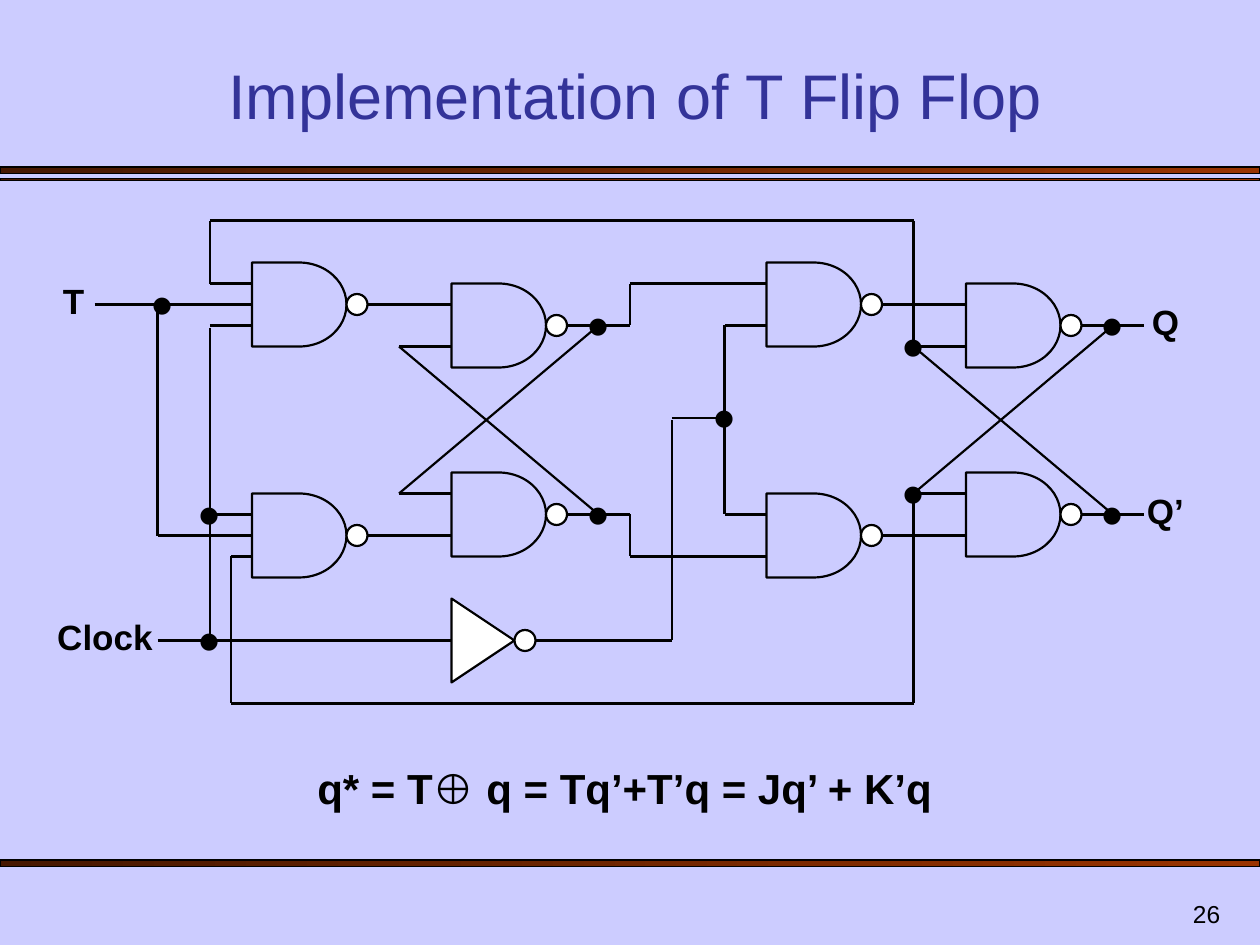
from dataclasses import dataclass
from itertools import pairwise

from lxml import etree
from pptx import Presentation
from pptx.dml.color import RGBColor
from pptx.enum.shapes import MSO_CONNECTOR, MSO_SHAPE
from pptx.enum.text import MSO_ANCHOR, MSO_AUTO_SIZE, PP_ALIGN
from pptx.oxml.ns import qn
from pptx.util import Pt

EMU_PER_PX = 7620
SLIDE_WIDTH, SLIDE_HEIGHT = 1200, 900
STAGE_OFFSETS = (0, 490)
GATE_WIDTH, GATE_HEIGHT, BUBBLE = 90, 80, 20
LEFT_SIDE = 1
STRAIGHT = MSO_CONNECTOR.STRAIGHT
DELAY, OVAL, RECTANGLE = MSO_SHAPE.FLOWCHART_DELAY, MSO_SHAPE.OVAL, MSO_SHAPE.RECTANGLE
CENTER, RIGHT = PP_ALIGN.CENTER, PP_ALIGN.RIGHT
TOP, BOTTOM = MSO_ANCHOR.TOP, MSO_ANCHOR.BOTTOM
FIT_SHAPE, NO_FIT = MSO_AUTO_SIZE.SHAPE_TO_FIT_TEXT, MSO_AUTO_SIZE.NONE
FONT = "Arial"
COLORS = {
    "background": "CCCCFF",
    "title": "333399",
    "ink": "000000",
    "bubble": "FFFFFF",
    "bar_dark": "461700",
    "bar_light": "993300",
}


@dataclass(frozen=True)
class Label:
    text: str
    left: int
    top: int
    width: int
    height: int
    size: int = 20
    bold: bool = True
    color: str = "ink"
    alignment: PP_ALIGN = CENTER
    anchor: MSO_ANCHOR = TOP
    autosize: MSO_AUTO_SIZE = FIT_SHAPE
    space_before: float = 0


@dataclass(frozen=True)
class Point:
    x: int
    y: int


@dataclass(frozen=True)
class Bar:
    top: int
    height: int


BARS = [Bar(159, 6), Bar(170, 2), Bar(819, 6)]
STAGE_GATES = [Point(240, 250), Point(240, 470), Point(430, 270), Point(430, 450)]
STAGE_WIRES = [
    [(350, 290), (430, 290)],
    [(350, 510), (430, 510)],
    [(430, 330), (380, 330), (570, 490)],
    [(430, 470), (380, 470), (570, 310)],
]
WIRES = [
    [(90, 290), (240, 290)],
    [(150, 290), (150, 510), (240, 510)],
    [(200, 310), (240, 310)],
    [(200, 490), (240, 490)],
    [(200, 312), (200, 610)],
    [(150, 610), (430, 610)],
    [(510, 610), (640, 610), (640, 400)],
    [(640, 398), (690, 398)],
    [(730, 310), (690, 310), (690, 490), (730, 490)],
    [(540, 310), (600, 310), (600, 270), (730, 270)],
    [(540, 490), (600, 490), (600, 530), (730, 530)],
    [(1030, 310), (1090, 310)],
    [(1030, 490), (1090, 490)],
    [(240, 270), (200, 270), (200, 210), (870, 210), (870, 330)],
    [(240, 530), (220, 530), (220, 670), (870, 670), (870, 470)],
]
JUNCTIONS = [
    Point(155, 290), Point(200, 490), Point(200, 610), Point(570, 310),
    Point(570, 490), Point(690, 398), Point(870, 330), Point(870, 470),
    Point(1060, 310), Point(1060, 490),
]
TITLE = Label("Implementation of T Flip Flop", 70, 50, 1070, 82, 36, False, "title",
              anchor=BOTTOM, autosize=NO_FIT)
LABELS = [
    Label("T", 40, 260, 60, 52, space_before=12.5),
    Label("Clock", 40, 580, 120, 52, space_before=12.5),
    Label("Q", 1080, 280, 60, 52, space_before=12.5),
    Label("Q’", 1080, 460, 60, 52, space_before=12.5),
    Label("q* = T⊕ q = Tq’+T’q = Jq’ + K’q", 100, 720, 990, 60, 24, space_before=15),
    Label("26", 924, 840, 250, 50, 14, False, alignment=RIGHT, anchor=BOTTOM,
          autosize=NO_FIT),
]


def px(*lengths: int) -> list[int]:
    return [length * EMU_PER_PX for length in lengths]


def color(name: str) -> RGBColor:
    return RGBColor.from_string(COLORS[name])


def set_attributes(target, values: dict) -> None:
    for name, value in values.items():
        setattr(target, name, value)


def outline(shape, width: float = 1.25) -> None:
    shape.line.color.rgb = color("ink")
    shape.line.width = Pt(width)


def style_shape(shape, fill: str | None = None) -> None:
    shape.shadow.inherit = False
    outline(shape)
    if fill:
        shape.fill.solid()
        shape.fill.fore_color.rgb = color(fill)
    else:
        shape.fill.background()


def write_label(shape, label: Label) -> None:
    left, top, width, height = px(label.left, label.top, label.width, label.height)
    frame = shape.text_frame
    frame.text = label.text
    paragraph = frame.paragraphs[0]
    set_attributes(frame, {"word_wrap": True, "auto_size": label.autosize,
                           "vertical_anchor": label.anchor})
    set_attributes(paragraph, {"alignment": label.alignment,
                               "space_before": Pt(label.space_before)})
    font = paragraph.runs[0].font
    set_attributes(font, {"name": FONT, "size": Pt(label.size), "bold": label.bold})
    font.color.rgb = color(label.color)
    set_attributes(shape, {"left": left, "top": top, "width": width, "height": height})


def add_label(slide, label: Label) -> None:
    write_label(slide.shapes.add_textbox(0, 0, 0, 0), label)


def add_junction(slide, point: Point) -> None:
    add_label(slide, Label("•", point.x - 30, point.y - 44, 60, 84, 36, False,
                           space_before=22.5))


def add_bar(slide, bar: Bar) -> None:
    shape = slide.shapes.add_shape(RECTANGLE, *px(0, bar.top, SLIDE_WIDTH, bar.height))
    shape.shadow.inherit = False
    outline(shape, 0.75)
    shape.fill.gradient()
    shape.fill.gradient_angle = 0
    for stop, name in zip(shape.fill.gradient_stops, ("bar_dark", "bar_light")):
        stop.color.rgb = color(name)


def add_bubble(slide, left: int, middle: int) -> None:
    bubble = slide.shapes.add_shape(OVAL, *px(left, middle - BUBBLE // 2, BUBBLE, BUBBLE))
    style_shape(bubble, "bubble")


def add_gate(slide, left: int, top: int, inputs: dict) -> None:
    gate = slide.shapes.add_shape(DELAY, *px(left, top, GATE_WIDTH, GATE_HEIGHT))
    style_shape(gate)
    middle = top + GATE_HEIGHT // 2
    add_bubble(slide, left + GATE_WIDTH, middle)
    inputs[(left, middle)] = gate


def add_inverter(slide) -> None:
    builder = slide.shapes.build_freeform(430, 570, scale=EMU_PER_PX)
    builder.add_line_segments([(430, 650), (490, 610)], close=True)
    style_shape(builder.convert_to_shape(), "bubble")
    add_bubble(slide, 490, 610)


def add_wire(slide, points: list, inputs: dict, offset: int = 0) -> None:
    shifted = [(x + offset, y) for x, y in points]
    for start, end in pairwise(shifted):
        connector = slide.shapes.add_connector(STRAIGHT, *px(*start, *end))
        outline(connector)
        etree.SubElement(connector._element.spPr, qn("a:effectLst"))
        if end in inputs:
            connector.end_connect(inputs[end], LEFT_SIDE)


def main() -> None:
    presentation = Presentation()
    presentation.slide_width, presentation.slide_height = px(SLIDE_WIDTH, SLIDE_HEIGHT)
    slide = presentation.slides.add_slide(presentation.slide_layouts[5])
    slide.background.fill.solid()
    slide.background.fill.fore_color.rgb = color("background")
    write_label(slide.shapes.title, TITLE)
    for bar in BARS:
        add_bar(slide, bar)
    inputs = {}
    for offset in STAGE_OFFSETS:
        for gate in STAGE_GATES:
            add_gate(slide, gate.x + offset, gate.y, inputs)
        for wire in STAGE_WIRES:
            add_wire(slide, wire, inputs, offset)
    add_inverter(slide)
    for wire in WIRES:
        add_wire(slide, wire, inputs)
    for junction in JUNCTIONS:
        add_junction(slide, junction)
    for label in LABELS:
        add_label(slide, label)
    presentation.save("out.pptx")


if __name__ == "__main__":
    main()
